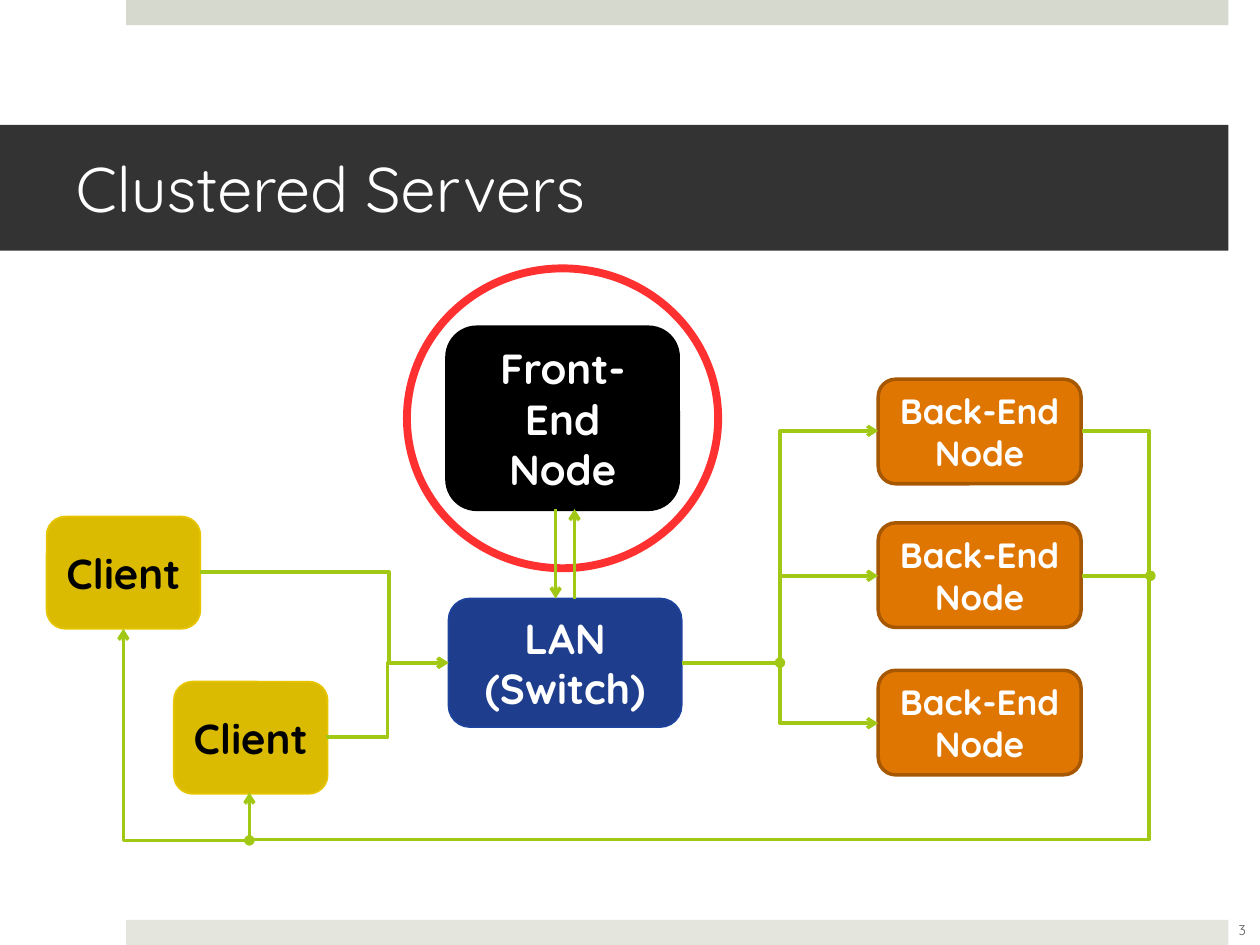
from dataclasses import dataclass
from typing import Optional

from lxml import etree
from pptx import Presentation
from pptx.dml.color import RGBColor
from pptx.enum.shapes import MSO_CONNECTOR, MSO_SHAPE
from pptx.enum.text import MSO_ANCHOR, PP_ALIGN
from pptx.oxml.ns import qn
from pptx.util import Inches, Pt

RECTANGLE = MSO_SHAPE.RECTANGLE
ROUNDED = MSO_SHAPE.ROUNDED_RECTANGLE
OVAL = MSO_SHAPE.OVAL
STRAIGHT = MSO_CONNECTOR.STRAIGHT
ELBOW = MSO_CONNECTOR.ELBOW
MIDDLE = MSO_ANCHOR.MIDDLE
LEFT = PP_ALIGN.LEFT
CENTER = PP_ALIGN.CENTER
TITLE_ONLY = 5


@dataclass(frozen=True)
class Theme:
    font: str = "Quicksand"
    title_size: int = 36
    large_size: int = 24
    medium_size: int = 20
    number_size: int = 8
    white: str = "FFFFFF"
    black: str = "000000"
    band: str = "333333"
    top_bar: str = "D6D9CD"
    bottom_bar: str = "E4E6DE"
    switch: str = "1E3E8D"
    switch_line: str = "1E439E"
    back_end: str = "E07602"
    back_end_line: str = "A65701"
    client: str = "DABB02"
    client_line: str = "E6C500"
    link: str = "A2C816"
    highlight: str = "FF3030"
    number: str = "595959"


THEME = Theme()


@dataclass(frozen=True)
class Box:
    left: float
    top: float
    width: float
    height: float


@dataclass(frozen=True)
class Node:
    label: str
    box: Box
    fill: str
    line: str
    line_width: float = 1
    size: int = THEME.large_size
    color: str = THEME.white


@dataclass(frozen=True)
class Link:
    start: tuple[float, float]
    end: tuple[float, float]
    head: Optional[str] = None
    tail: Optional[str] = None
    preset: Optional[str] = None
    bends: tuple[float, ...] = ()


def lengths(box: Box) -> tuple[int, ...]:
    return tuple(Inches(value) for value in (box.left, box.top, box.width, box.height))


def write_text(shape, text: str, *, size: int, color: str, bold: bool = False, align=CENTER) -> None:
    frame = shape.text_frame
    frame.word_wrap = True
    frame.vertical_anchor = MIDDLE
    paragraph = frame.paragraphs[0]
    paragraph.alignment = align
    run = paragraph.add_run()
    run.text = text
    run.font.name = THEME.font
    run.font.size = Pt(size)
    run.font.bold = bold
    run.font.color.rgb = RGBColor.from_string(color)


def add_box(slide, kind, box: Box, fill: Optional[str] = None,
            line: Optional[str] = None, line_width: float = 1):
    shape = slide.shapes.add_shape(kind, *lengths(box))
    shape.shadow.inherit = False
    if fill:
        shape.fill.solid()
        shape.fill.fore_color.rgb = RGBColor.from_string(fill)
    else:
        shape.fill.background()
    if line:
        shape.line.color.rgb = RGBColor.from_string(line)
        shape.line.width = Pt(line_width)
    else:
        shape.line.fill.background()
    return shape


def add_node(slide, node: Node) -> None:
    shape = add_box(slide, ROUNDED, node.box, node.fill, node.line, node.line_width)
    write_text(shape, node.label, size=node.size, color=node.color, bold=True)


def add_link(slide, link: Link) -> None:
    points = [Inches(value) for value in (*link.start, *link.end)]
    connector = slide.shapes.add_connector(ELBOW if link.preset else STRAIGHT, *points)
    connector.line.color.rgb = RGBColor.from_string(THEME.link)
    connector.line.width = Pt(2)
    properties = connector._element.spPr
    line = properties.find(qn("a:ln"))
    for tag, kind in (("a:headEnd", link.head), ("a:tailEnd", link.tail)):
        if kind:
            etree.SubElement(line, qn(tag), type=kind)
    etree.SubElement(properties, qn("a:effectLst"))
    if link.preset:
        geometry = properties.find(qn("a:prstGeom"))
        geometry.set("prst", link.preset)
        guides = geometry.find(qn("a:avLst"))
        for index, bend in enumerate(link.bends, 1):
            etree.SubElement(guides, qn("a:gd"), name=f"adj{index}",
                             fmla=f"val {round(bend * 100000)}")


def add_title(slide, text: str) -> None:
    title = slide.shapes.title
    title.left, title.top, title.width, title.height = lengths(Box(0, 0.99, 9.75, 1))
    title.fill.solid()
    title.fill.fore_color.rgb = RGBColor.from_string(THEME.band)
    title.text_frame.margin_left = Inches(0.6)
    title.text_frame.margin_right = Inches(0.3)
    write_text(title, text, size=THEME.title_size, color=THEME.white, align=LEFT)


NODES = [
    Node("Front-End Node", Box(3.54, 2.59, 1.85, 1.46), THEME.black, THEME.black),
    Node("LAN (Switch)", Box(3.56, 4.75, 1.85, 1.02), THEME.switch, THEME.switch_line),
    *(Node("Back-End Node", Box(6.97, top, 1.61, 0.83), THEME.back_end,
           THEME.back_end_line, 2, THEME.medium_size) for top in (3.01, 4.15, 5.32)),
    *(Node("Client", Box(left, top, 1.22, 0.89), THEME.client, THEME.client_line,
           color=THEME.black) for left, top in ((0.37, 4.1), (1.38, 5.41))),
]

SWITCH_IN = (3.56, 5.26)
SWITCH_OUT = (5.41, 5.26)

LINKS = [
    Link((1.59, 4.54), SWITCH_IN, None, "arrow", "bentConnector3", (0.76,)),
    Link((2.59, 5.85), SWITCH_IN, None, "arrow", "bentConnector3", (0.5,)),
    Link((6.19, 5.26), (6.97, 3.42), "oval", "arrow", "bentConnector3", (0,)),
    Link(SWITCH_OUT, (6.97, 4.57), None, "arrow", "bentConnector3", (0.5,)),
    Link(SWITCH_OUT, (6.97, 5.74), None, "arrow", "bentConnector3", (0.5,)),
    Link((4.41, 4.04), (4.41, 4.75), tail="arrow"),
    Link((4.56, 4.04), (4.56, 4.75), head="arrow"),
    Link((8.59, 3.42), (1.98, 6.29), None, "arrow", "bentConnector4", (-0.08, 1.13)),
    Link((9.13, 4.57), (8.59, 4.57), head="oval"),
    Link((1.98, 6.67), (0.98, 4.99), "oval", "arrow", "bentConnector2"),
]


def main() -> None:
    presentation = Presentation()
    presentation.slide_width = Inches(10)
    presentation.slide_height = Inches(7.5)
    slide = presentation.slides.add_slide(presentation.slide_layouts[TITLE_ONLY])
    add_title(slide, "Clustered Servers")
    for top, color in ((0, THEME.top_bar), (7.3, THEME.bottom_bar)):
        add_box(slide, RECTANGLE, Box(1, top, 8.75, 0.2), color)
    for node in NODES:
        add_node(slide, node)
    add_box(slide, OVAL, Box(3.23, 2.13, 2.47, 2.38), line=THEME.highlight, line_width=4.5)
    for link in LINKS:
        add_link(slide, link)
    number = slide.shapes.add_textbox(*lengths(Box(9.61, 7.18, 0.5, 0.4)))
    write_text(number, "3", size=THEME.number_size, color=THEME.number)
    presentation.save("out.pptx")


if __name__ == "__main__":
    main()
